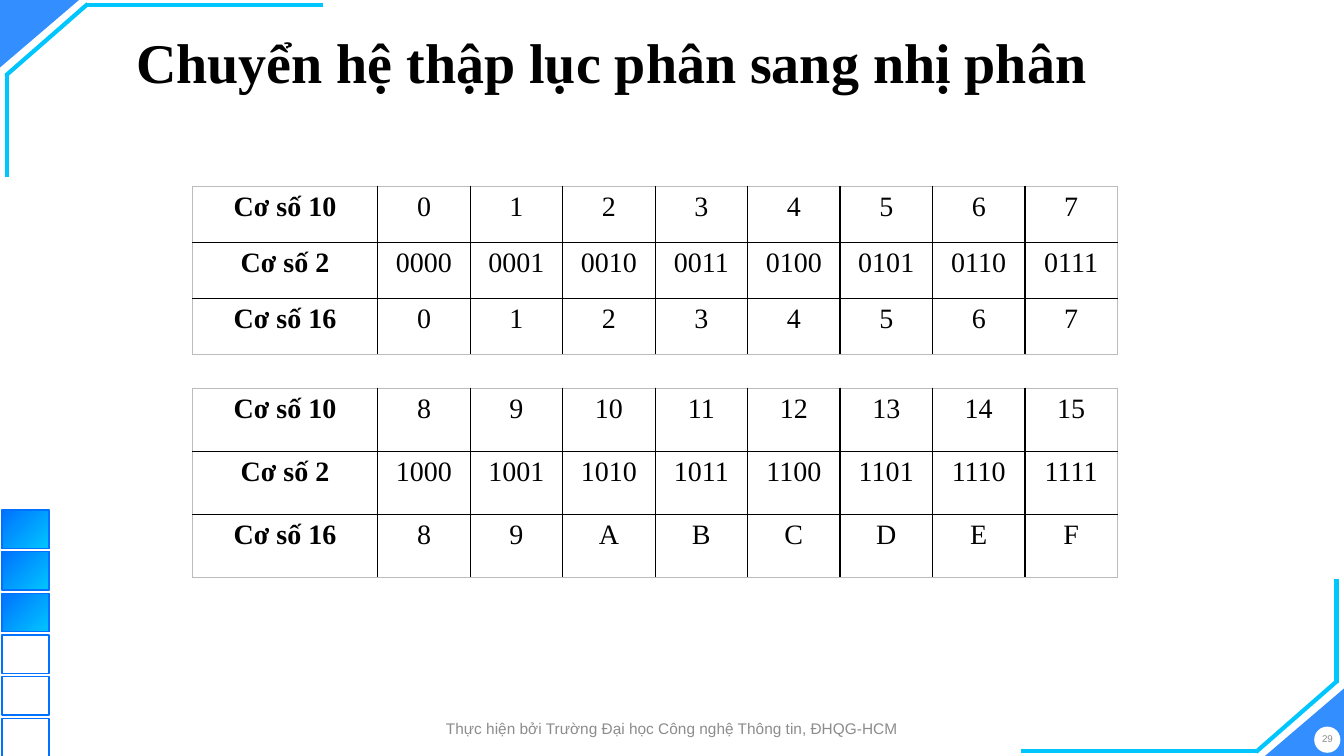
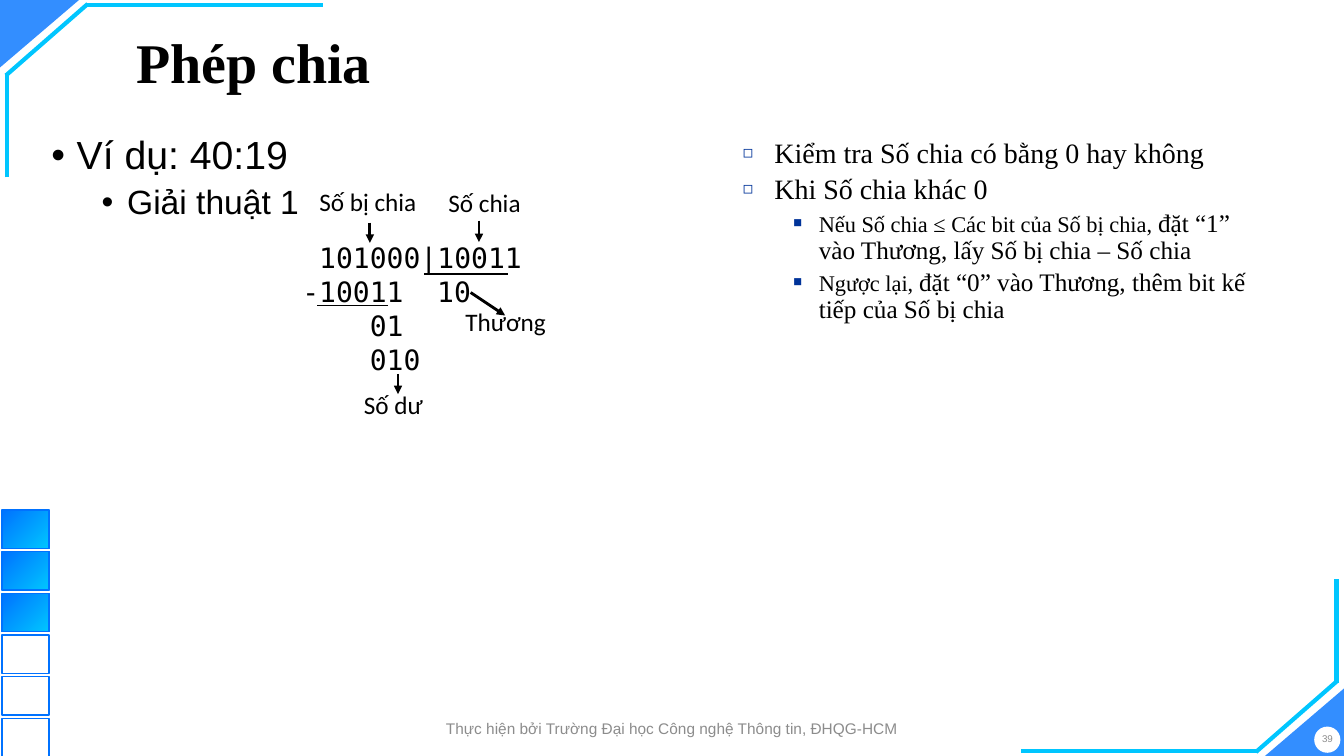
import pptx
import pptx.util
import pptx.dml.color
import pptx.enum.shapes
import pptx.enum.text
import pptx.oxml
import pptx.oxml.ns

Cm, Pt = pptx.util.Cm, pptx.util.Pt
RGBColor = pptx.dml.color.RGBColor
Shape = pptx.enum.shapes.MSO_SHAPE
Align = pptx.enum.text.PP_ALIGN
Anchor = pptx.enum.text.MSO_ANCHOR
Fit = pptx.enum.text.MSO_AUTO_SIZE

# Colours and fonts
BLUE = RGBColor(0x00, 0x72, 0xFF)
CYAN = RGBColor(0x00, 0xC6, 0xFF)
NAVY = RGBColor(0x00, 0x33, 0x99)
BLACK = RGBColor(0x00, 0x00, 0x00)
WHITE = RGBColor(0xFF, 0xFF, 0xFF)
GREY = RGBColor(0x8C, 0x8C, 0x8C)
PALE = RGBColor(0xBC, 0xBC, 0xBC)
SANS, SERIF = "Arial", "Times New Roman"
LABEL, MONO = "Calibri", "DejaVu Sans Mono"

# Content; lengths in cm
WIDE, HIGH = 33.87, 19.05
FOOT = "Thực hiện bởi Trường Đại học Công nghệ Thông tin, ĐHQG-HCM"
RAILS = [
    (8.13, 0.13, 2.16, 0.13), (2.21, 0.1, 0.15, 1.9), (0.18, 4.47, 0.18, 1.85),
    (25.73, 18.92, 31.7, 18.92), (31.65, 18.95, 33.71, 17.15),
    (33.68, 14.6, 33.68, 17.2),
]
BASES = ["Cơ số 10", "Cơ số 2", "Cơ số 16"]
GRIDS = [  # first number, top, row height
    (0, 4.7, 1.41),
    (8, 9.78, 1.59),
]

# A level: level, left margin, space before, bullet, bullet colour, bullet %
LEFT = [
    ((0, 0.64, 10, "•", BLACK, 100), [("Ví dụ: 40:19", 28)]),
    ((1, 1.91, 5, "•", BLACK, 100), [("Giải thuật 1", 24)]),
]
TEST = (1, 2.06, 4, "◻", NAVY, 60)
CASE = (2, 3.18, 3.6, "■", NAVY, 65)
RIGHT = [
    (TEST, [("Kiểm tra Số chia có bằng 0 hay không", 20)]),
    (TEST, [("Khi Số chia khác 0", 20)]),
    (CASE, [("Nếu Số chia ≤ Các bit của Số bị chia, ", 16),
            ("đặt “1” vào Thương, lấy Số bị chia – Số chia", 18)]),
    (CASE, [("Ngược lại, ", 16),
            ("đặt “0” vào Thương, thêm bit kế tiếp của Số bị chia", 18)]),
]
DIGITS = [  # text, column, row of the long division
    ("101000|10011", 1, 0), ("-10011", 0, 1), ("10", 8, 1),
    ("01", 4, 2), ("010", 4, 3),
]
NAMES = [("Số bị chia", 8.05, 4.7), ("Số chia", 11.3, 4.72),
         ("Thương", 11.73, 7.72), ("Số dư", 9.17, 9.8)]
RULES = [(9.78, 7.7, 7.98, 7.7, 0.75), (10.69, 6.91, 12.8, 6.91, 1.25)]
ARROWS = [(9.32, 5.61, 9.32, 6.12), (12.07, 5.56, 12.07, 6.1),
          (11.86, 7.37, 12.73, 7.95), (10.03, 9.42, 10.03, 9.93)]


def node(tag, **attrs):
    item = pptx.oxml.parse_xml(f"<a:{tag} {pptx.oxml.ns.nsdecls('a')}/>")
    for key, val in attrs.items():
        item.set(key, str(val))
    return item


def tint(color):
    fill = node("solidFill")
    fill.append(node("srgbClr", val=color))
    return fill


def write(par, text, size, font, color=BLACK, bold=False):
    run = par.add_run()
    run.text = text
    run.font.size, run.font.name, run.font.bold = Pt(size), font, bold
    run.font.color.rgb = color


def place(shape, x, y, w, h):
    shape.left, shape.top, shape.width, shape.height = map(Cm, (x, y, w, h))


def line(page, x1, y1, x2, y2, width, color=BLACK, arrow=False):
    rule = page.shapes.add_connector(
        pptx.enum.shapes.MSO_CONNECTOR.STRAIGHT, *map(Cm, (x1, y1, x2, y2)))
    rule.line.color.rgb, rule.line.width = color, Pt(width)
    if arrow:
        rule.element.xpath("./p:spPr/a:ln")[0].append(
            node("tailEnd", type="triangle"))
    rule.element.spPr.append(node("effectLst"))


def block(page, kind, x, y, w, h, fill=None):
    shape = page.shapes.add_shape(kind, *map(Cm, (x, y, w, h)))
    shape.shadow.inherit = False
    shape.line.fill.background()
    if fill is None:
        shape.fill.background()
    else:
        shape.fill.solid()
        shape.fill.fore_color.rgb = fill
    return shape


def label(page, text, x, y, w, h, size, font, color=BLACK, mid=False):
    box = page.shapes.add_textbox(*map(Cm, (x, y, w, h)))
    frame = box.text_frame
    frame.word_wrap = True
    frame.margin_left = frame.margin_right = 0
    frame.margin_top = frame.margin_bottom = 0
    if mid:
        frame.vertical_anchor = Anchor.MIDDLE
        frame.paragraphs[0].alignment = Align.CENTER
    write(frame.paragraphs[0], text, size, font, color)


# Shared art, drawn once and moved to the master
def adorn(page, master):
    for x, y, turn in ((0, 0, 180), (31.88, 17.35, 0)):
        wedge = block(page, Shape.ISOSCELES_TRIANGLE, x, y, 1.99, 1.7, BLUE)
        wedge.adjustments[0] = 1
        wedge.rotation = turn
        wedge.element.xpath("./p:spPr/a:solidFill/a:srgbClr")[0].append(
            node("alpha", val=80000))
    for rail in RAILS:
        line(page, *rail, 3, CYAN)
    block(page, Shape.OVAL, 33.12, 18.31, 0.66, 0.66, WHITE)
    for i in range(6):
        step = block(page, Shape.RECTANGLE, 0.05, 12.85 + 1.05 * i, 1.19, 0.97)
        step.line.color.rgb, step.line.width = BLUE, Pt(1)
        if i < 3:
            step.fill.gradient()
            step.fill.gradient_angle = 315
            for stop, color in zip(step.fill.gradient_stops, (BLUE, CYAN)):
                stop.color.rgb = color
    art = [s for s in page.shapes if not s.is_placeholder]
    for i, shape in enumerate(art, 50):
        shape.element.xpath(".//p:cNvPr")[0].set("id", str(i))
        master.shapes.element.append(shape.element)


def head(page, text):
    title = page.shapes.title
    place(title, 3.18, 0.41, 29.21, 2.49)
    title.text_frame.auto_size = Fit.NONE
    title.text_frame.vertical_anchor = Anchor.MIDDLE
    par = title.text_frame.paragraphs[0]
    par.alignment, par.line_spacing = Align.LEFT, 0.9
    write(par, text, 40, SERIF, bold=True)


def foot(page, num):
    label(page, FOOT, 10.13, 17.98, 13.61, 0.74, 11, SANS, GREY, True)
    label(page, num, 33.05, 18.21, 0.81, 0.81, 7, SANS, GREY, True)


def edge(cell, side, color):
    rule = node(side, w=12192)
    rule.append(tint(color))
    cell._tc.get_or_add_tcPr().append(rule)


def grid(page, first, top, tall):
    nums = range(first, first + 8)
    forms = [[format(n, code) for n in nums] for code in ("d", "04b", "X")]
    rows = [[base] + form for base, form in zip(BASES, forms)]
    deep, span = len(rows), len(rows[0])
    table = page.shapes.add_table(
        deep, span, *map(Cm, (4.85, top, 23.31, tall * deep))).table
    table.first_row = table.horz_banding = False
    for c, col in enumerate(table.columns):
        col.width = Cm(2.33 if c else 4.67)
    for r, row in enumerate(rows):
        table.rows[r].height = Cm(tall)
        for c, text in enumerate(row):
            cell = table.cell(r, c)
            par = cell.text_frame.paragraphs[0]
            par.alignment = Align.CENTER
            write(par, text, 20, SERIF, bold=c == 0)
            outer = {"lnL": c == 0, "lnR": c == span - 1,
                     "lnT": r == 0, "lnB": r == deep - 1}
            for side, rim in outer.items():
                edge(cell, side, PALE if rim else BLACK)
            cell.fill.background()


def fill(body, items, font, hang):
    frame = body.text_frame
    frame.auto_size = Fit.NONE
    for i, (style, runs) in enumerate(items):
        level, left, gap, mark, color, size = style
        par = frame.add_paragraph() if i else frame.paragraphs[0]
        par.level, par.line_spacing, par.space_before = level, 0.9, Pt(gap)
        props = par._p.get_or_add_pPr()
        props.set("marL", str(Cm(left)))
        props.set("indent", str(-Cm(hang[level])))
        hue = node("buClr")
        hue.append(node("srgbClr", val=color))
        props.extend([hue, node("buSzPct", val=size * 1000),
                      node("buFont", typeface=SANS), node("buChar", char=mark)])
        for text, points in runs:
            write(par, text, points, font)


def main():
    deck = pptx.Presentation()
    deck.slide_width, deck.slide_height = Cm(WIDE), Cm(HIGH)

    # Number tables
    page = deck.slides.add_slide(deck.slide_layouts[5])
    adorn(page, deck.slide_master)
    head(page, "Chuyển hệ thập lục phân sang nhị phân")
    for item in GRIDS:
        grid(page, *item)
    foot(page, "29")

    # Long division
    page = deck.slides.add_slide(deck.slide_layouts[3])
    head(page, "Phép chia")
    left, right = list(page.placeholders)[1:]
    place(left, 1.04, 3.3, 32, 13.41)
    place(right, 17.2, 3.38, 14.45, 14.2)
    fill(left, LEFT, SANS, (0.64, 0.64))
    fill(right, RIGHT, SERIF, (0, 0.79, 0.64))
    for text, col, row in DIGITS:
        label(page, text, 7.62 + 0.425 * col, 6.07 + 0.85 * row,
              6, 0.85, 20, MONO)
    for rule in RULES:
        line(page, *rule)
    for text, x, y in NAMES:
        label(page, text, x, y, 3, 0.76, 18, LABEL)
    for arrow in ARROWS:
        line(page, *arrow, 2, arrow=True)
    foot(page, "39")

    deck.save("out.pptx")


if __name__ == "__main__":
    main()
